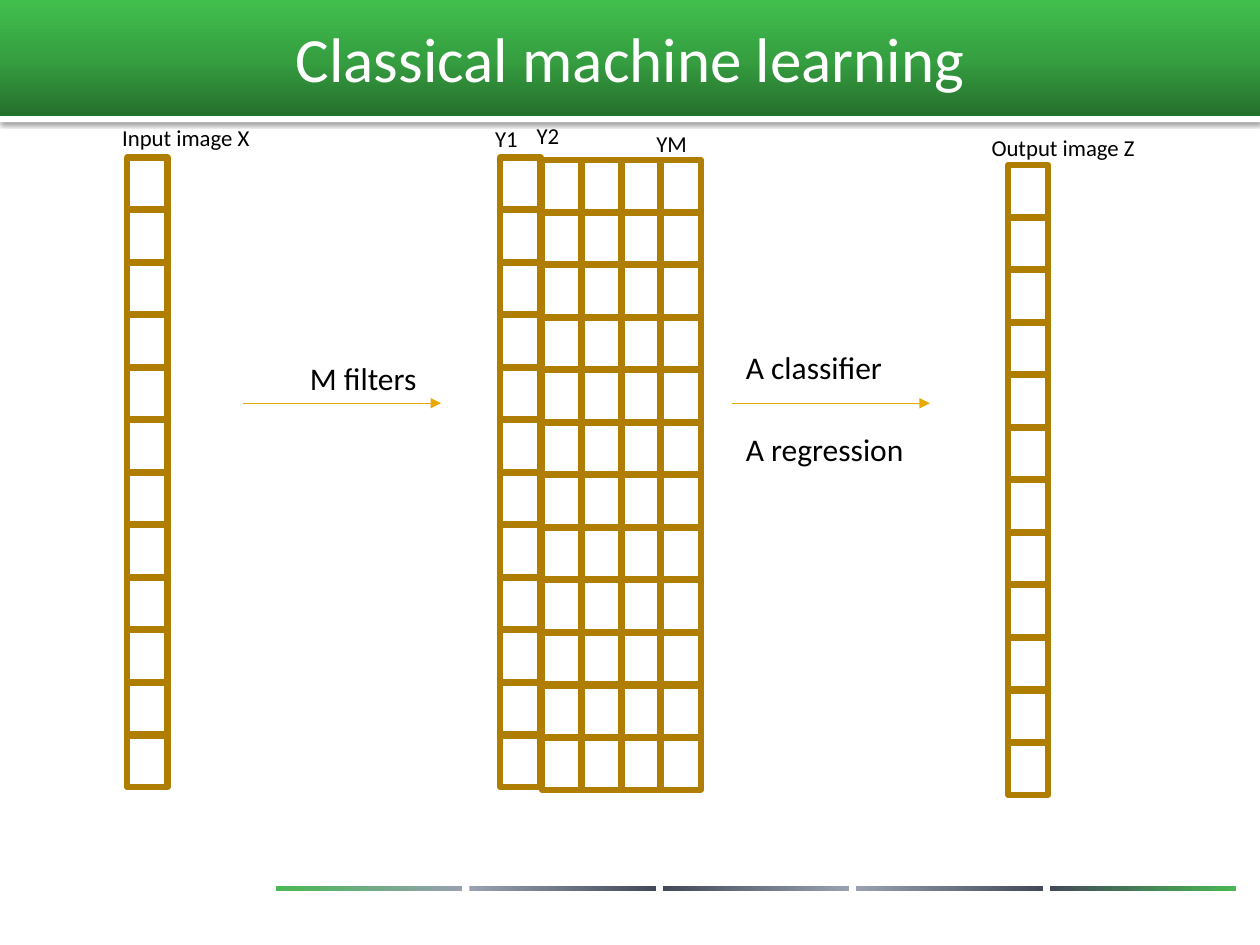
from copy import deepcopy
from dataclasses import dataclass

from lxml import etree
from pptx import Presentation
from pptx.dml.color import RGBColor
from pptx.enum import shapes, text
from pptx.oxml import ns
from pptx.util import Inches, Pt


@dataclass(frozen=True)
class Theme:
    font: str = "Calibri"
    title_size: int = 36
    step_size: int = 18
    label_size: int = 13
    white: str = "FFFFFF"
    black: str = "000000"
    cell_line: str = "AF7E00"
    arrow: str = "EAA900"
    header: tuple = ("256F2D", "36A041", "41BF4D")
    green: str = "49B754"
    light: str = "98A0B2"
    dark: str = "444A5A"


theme = Theme()


def add_bar(left, top, width, height, colors, angle=0):
    """Add a borderless rectangle with evenly spaced gradient colours."""
    shape = slide.shapes.add_shape(
        shapes.MSO_SHAPE.RECTANGLE, Inches(left), Inches(top), Inches(width), Inches(height))
    shape.shadow.inherit = False
    shape.line.fill.background()
    if len(colors) == 1:
        shape.fill.solid()
        shape.fill.fore_color.rgb = RGBColor.from_string(colors[0])
        return shape
    shape.fill.gradient()
    shape.fill.gradient_angle = angle
    stop_list = shape._element.spPr.find(".//" + ns.qn("a:gsLst"))
    while len(stop_list) < len(colors):
        stop_list.append(deepcopy(stop_list[0]))
    for index, (stop, color) in enumerate(zip(shape.fill.gradient_stops, colors)):
        stop.position = index / (len(colors) - 1)
        stop.color.rgb = RGBColor.from_string(color)
    return shape


def write(shape, wording, size, color):
    frame = shape.text_frame
    frame.word_wrap = True
    frame.margin_left = frame.margin_right = Inches(0.05)
    frame.margin_top = frame.margin_bottom = Inches(0.05)
    frame.text = wording
    font = frame.paragraphs[0].runs[0].font
    font.name = theme.font
    font.size = Pt(size)
    font.color.rgb = RGBColor.from_string(color)
    return frame


presentation = Presentation()
presentation.slide_width = Inches(10)
presentation.slide_height = Inches(7.5)
slide = presentation.slides.add_slide(presentation.slide_layouts[5])

# Header with a shadowed white edge
edge = add_bar(0, 0.92, 10, 0.05, [theme.white])
effects = edge._element.spPr.find(ns.qn("a:effectLst"))
shadow = etree.SubElement(effects, ns.qn("a:outerShdw"), blurRad=str(Pt(3)),
                          dist=str(Pt(0.8)), dir="5400000", rotWithShape="0")
shadow_color = etree.SubElement(shadow, ns.qn("a:srgbClr"), val=theme.black)
etree.SubElement(shadow_color, ns.qn("a:alpha"), val="60000")
add_bar(0, 0, 10, 0.92, theme.header, angle=90)

# Footer strip
footer_colors = [
    (theme.green, theme.light),
    (theme.light, theme.dark),
    (theme.dark, theme.light),
    (theme.light, theme.dark),
    (theme.dark, theme.green),
]
footer_left, footer_last = 2.19, 8.33
footer_pitch = (footer_last - footer_left) / (len(footer_colors) - 1)
for index, colors in enumerate(footer_colors):
    add_bar(footer_left + index * footer_pitch, 7.03, 1.48, 0.04, colors)

# Title, brought in front of the header
title = slide.shapes.title
slide.shapes._spTree.append(title._element)
title.left, title.top = Inches(0.5), Inches(0.04)
title.width, title.height = Inches(9), Inches(0.83)
title_frame = write(title, "Classical machine learning", theme.title_size, theme.white)
title_frame.auto_size = text.MSO_AUTO_SIZE.NONE
title_frame.vertical_anchor = text.MSO_ANCHOR.MIDDLE
title_frame.paragraphs[0].alignment = text.PP_ALIGN.CENTER

# Pixel columns: input X, filter responses Y1 to YM, output Z
row_count, row_pitch = 12, 0.417
response_columns = [(4.3 + index * 0.314, 1.27) for index in range(4)]
for left, top in [(1.01, 1.25), (3.97, 1.25), *response_columns, (8, 1.31)]:
    column = slide.shapes.add_group_shape()
    for row in range(row_count):
        cell = column.shapes.add_shape(
            shapes.MSO_SHAPE.RECTANGLE, Inches(left), Inches(top + row * row_pitch),
            Inches(0.32), Inches(0.41))
        cell.shadow.inherit = False
        cell.fill.background()
        cell.line.color.rgb = RGBColor.from_string(theme.cell_line)
        cell.line.width = Pt(3.5)

# Arrows between the stages
for left in (1.93, 5.81):
    arrow = slide.shapes.add_connector(
        shapes.MSO_CONNECTOR.STRAIGHT, Inches(left), Inches(3.2), Inches(left + 1.57), Inches(3.2))
    arrow.line.color.rgb = RGBColor.from_string(theme.arrow)
    arrow.line.width = Pt(0.5)
    etree.SubElement(arrow.line._get_or_add_ln(), ns.qn("a:tailEnd"), type="triangle")
    etree.SubElement(arrow._element.spPr, ns.qn("a:effectLst"))

# Labels
column_label = (1.44, 0.31, theme.label_size)
step_label = (1.57, 0.38, theme.step_size)
labels = [
    ("Input image X", 0.92, 0.93, column_label),
    ("Y1", 3.88, 0.94, column_label),
    ("Y2", 4.21, 0.92, column_label),
    ("YM", 5.16, 0.98, column_label),
    ("Output image Z", 7.82, 1.01, column_label),
    ("M filters", 2.41, 2.8, step_label),
    ("A classifier", 5.87, 2.71, step_label),
    ("A regression", 5.87, 3.36, step_label),
]
for wording, left, top, (width, height, size) in labels:
    label = slide.shapes.add_textbox(Inches(left), Inches(top), Inches(width), Inches(height))
    label_frame = write(label, wording, size, theme.black)
    label_frame.auto_size = text.MSO_AUTO_SIZE.SHAPE_TO_FIT_TEXT

presentation.save("out.pptx")
